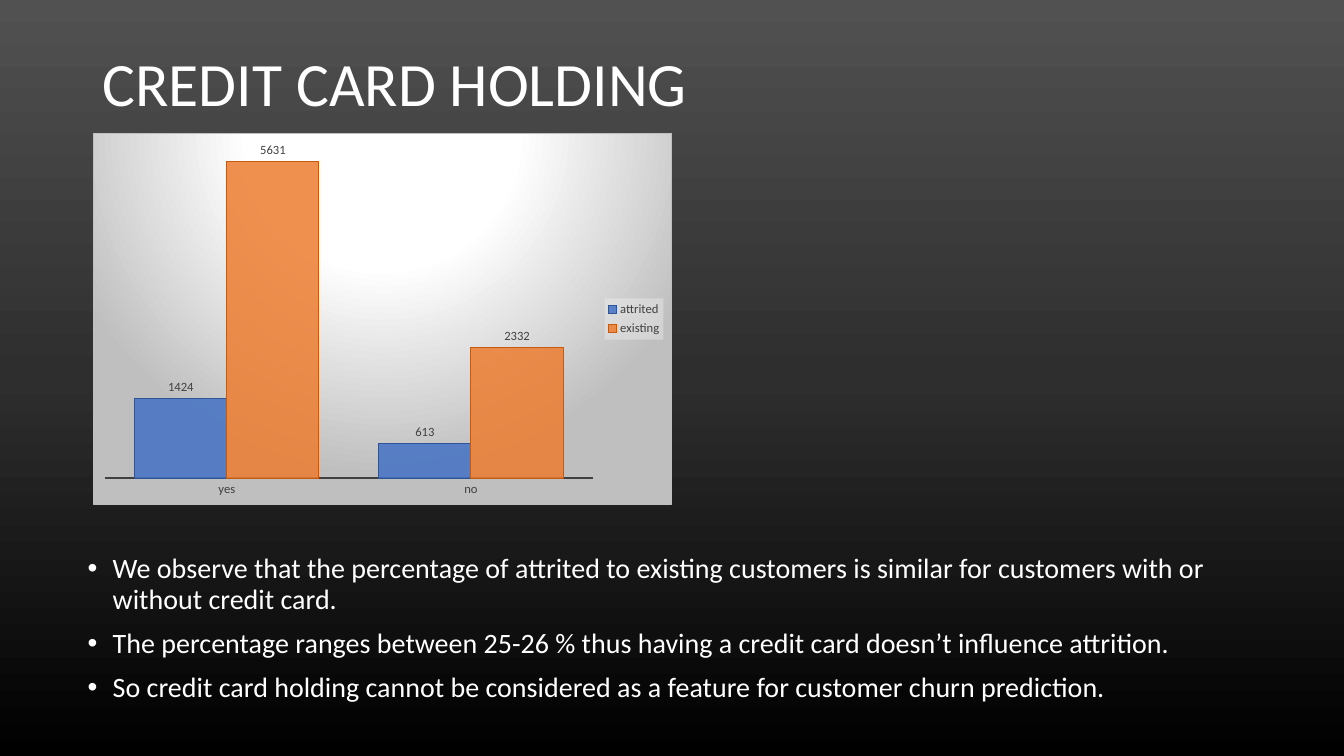
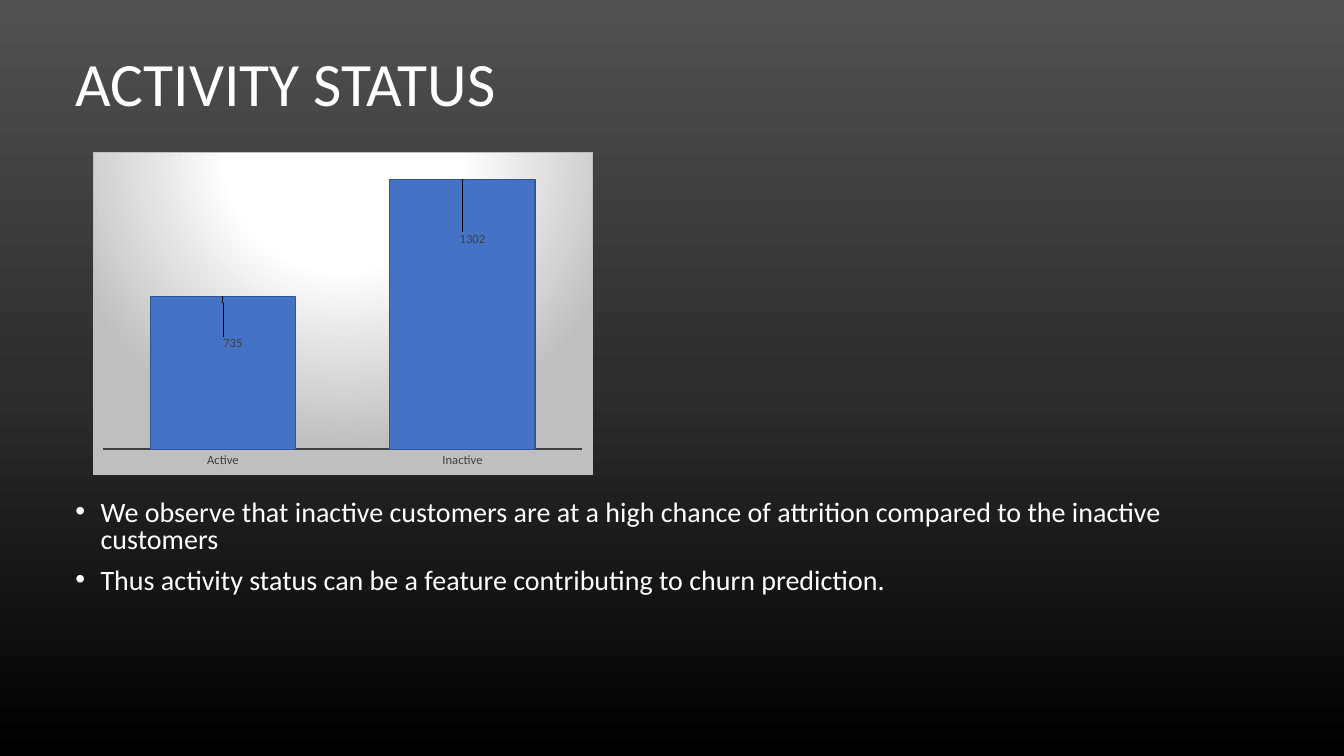
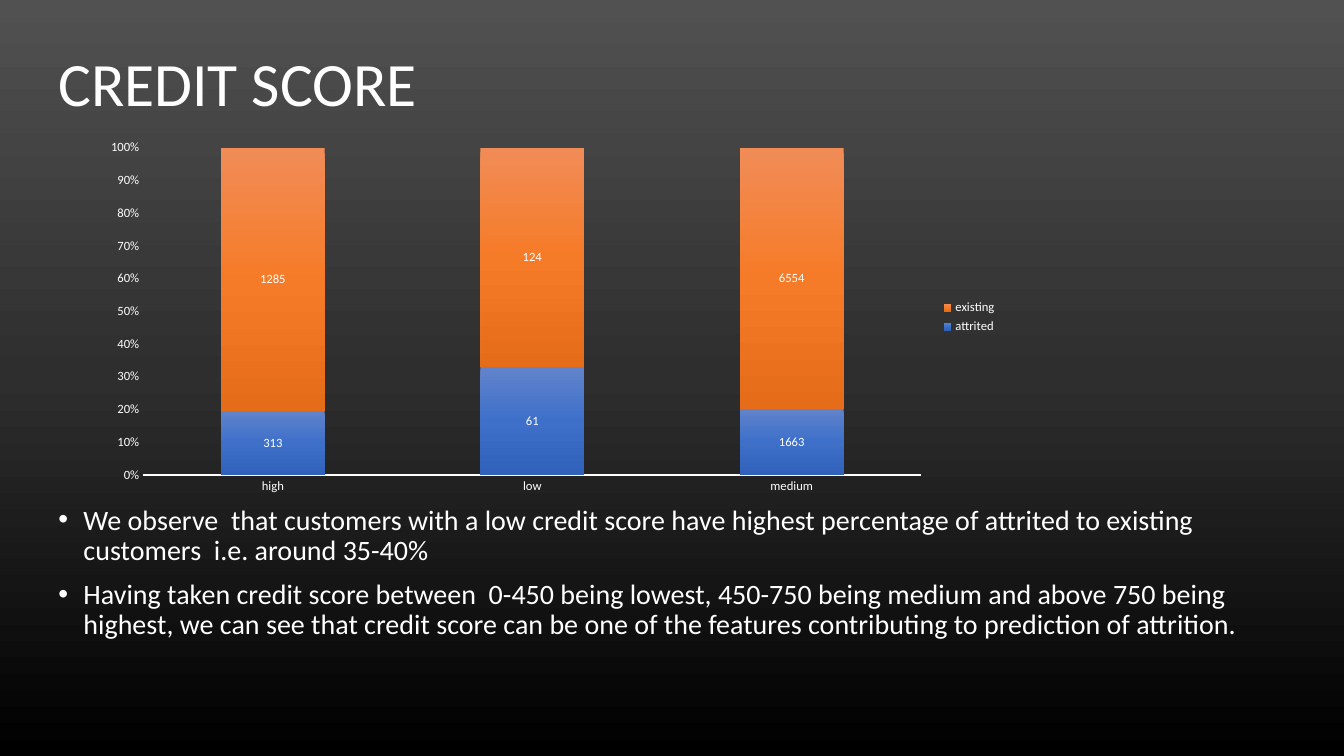
from lxml.etree import SubElement
from pptx import Presentation
from pptx.chart.data import CategoryChartData
from pptx.dml.color import RGBColor
from pptx.enum.chart import XL_CHART_TYPE as ChartType
from pptx.enum.chart import XL_LABEL_POSITION as LabelPosition
from pptx.enum.chart import XL_LEGEND_POSITION as LegendPosition
from pptx.enum.chart import XL_TICK_MARK as TickMark
from pptx.enum.text import MSO_ANCHOR as Anchor
from pptx.oxml import parse_xml
from pptx.oxml.ns import nsdecls, qn
from pptx.util import Pt

FONT = "Calibri"
WHITE = RGBColor(0xFF, 0xFF, 0xFF)
CHARCOAL = RGBColor(0x40, 0x40, 0x40)
SILVER = RGBColor(0xBF, 0xBF, 0xBF)
MIST = RGBColor(0xF2, 0xF2, 0xF2)
BLUE = RGBColor(0x44, 0x72, 0xC4)
DARK_BLUE = RGBColor(0x2F, 0x55, 0x97)
ORANGE = RGBColor(0xED, 0x7D, 0x31)
DARK_ORANGE = RGBColor(0xC5, 0x5A, 0x11)

BACKDROP = [(0, RGBColor(0x51, 0x51, 0x51)), (50, RGBColor(0x2E, 0x2E, 0x2E)),
            (100, RGBColor(0, 0, 0))]
SPOTLIGHT = [(0, WHITE), (39, WHITE), (100, SILVER)]
BLUE_FADE = [(0, RGBColor(0x61, 0x83, 0xCB)), (50, RGBColor(0x3E, 0x70, 0xCA)),
             (100, RGBColor(0x30, 0x62, 0xBB))]
ORANGE_FADE = [(0, RGBColor(0xF1, 0x8C, 0x57)), (50, RGBColor(0xF6, 0x7B, 0x28)),
               (100, RGBColor(0xE5, 0x6C, 0x19))]

DOWNWARD = '<a:lin ang="5400000" scaled="0"/>'
FROM_TOP = ('<a:path path="circle"><a:fillToRect l="50000" t="-80000" '
            'r="50000" b="180000"/></a:path>')
TITLE_TOP, TITLE_HEIGHT = 28.8, 66
CHART_LEFT = 66.24


def solid_fill(color, opacity=100):
    return parse_xml(
        f'<a:solidFill {nsdecls("a")}><a:srgbClr val="{color}">'
        f'<a:alpha val="{opacity * 1000}"/></a:srgbClr></a:solidFill>')


def gradient_fill(stops, direction=DOWNWARD):
    stop_list = "".join(
        f'<a:gs pos="{position * 1000}"><a:srgbClr val="{color}"/></a:gs>'
        for position, color in stops)
    return parse_xml(
        f'<a:gradFill {nsdecls("a")} rotWithShape="1"><a:gsLst>{stop_list}</a:gsLst>'
        f'{direction}</a:gradFill>')


def shape_properties(*parts):
    properties = parse_xml(f'<c:spPr {nsdecls("c", "a")}/>')
    properties.extend(parts)
    return properties


def set_values(target, values):
    for name, value in values.items():
        setattr(target, name, value)


def set_font(font, size, color):
    set_values(font, {"name": FONT, "size": Pt(size)})
    font.color.rgb = color


def set_line(line, color, width):
    line.color.rgb = color
    line.width = Pt(width)


def set_backdrop(presentation):
    master = presentation.slide_master
    master.background.fill.solid()
    properties = master._element.find(".//" + qn("p:bgPr"))
    properties.replace(properties[0], gradient_fill(BACKDROP))


def add_text(slide, box, lines, size, spacing, space_before=0, anchor=Anchor.TOP):
    frame = slide.shapes.add_textbox(*map(Pt, box)).text_frame
    set_values(frame, {"word_wrap": True, "vertical_anchor": anchor})
    for index, line in enumerate(lines):
        paragraph = frame.add_paragraph() if index else frame.paragraphs[0]
        set_values(paragraph, {"text": line, "line_spacing": spacing,
                               "space_before": Pt(space_before)})
        set_font(paragraph.runs[0].font, size, WHITE)
    return frame


def add_title(slide, left, width, text):
    add_text(slide, (left, TITLE_TOP, width, TITLE_HEIGHT), [text], 44, 0.9,
             anchor=Anchor.MIDDLE)


def add_bullets(slide, box, lines, spacing=0.9):
    frame = add_text(slide, box, lines, 20, spacing, space_before=10)
    for paragraph in frame.paragraphs:
        properties = paragraph._p.get_or_add_pPr()
        properties.set("marL", str(Pt(18)))
        properties.set("indent", str(Pt(-18)))
        SubElement(properties, qn("a:buFont")).set("typeface", "Arial")
        SubElement(properties, qn("a:buChar")).set("char", "•")


def add_column_chart(slide, box, kind, categories, series, gap, text_color,
                     axis_width, label_position):
    data = CategoryChartData()
    data.categories = categories
    for name, values in series:
        data.add_series(name, values)
    chart = slide.shapes.add_chart(kind, *map(Pt, box), data).chart
    set_values(chart, {"has_title": False, "has_legend": False})
    set_font(chart.font, 10, WHITE)
    plot = chart.plots[0]
    set_values(plot, {"gap_width": gap, "vary_by_categories": False,
                      "has_data_labels": True})
    set_values(plot.data_labels, {"show_value": True, "position": label_position})
    set_font(plot.data_labels.font, 9, text_color)
    for axis in (chart.category_axis, chart.value_axis):
        set_values(axis, {"major_tick_mark": TickMark.NONE,
                          "minor_tick_mark": TickMark.NONE,
                          "has_major_gridlines": False})
        set_font(axis.tick_labels.font, 9, text_color)
    set_line(chart.category_axis.format.line, text_color, axis_width)
    return chart


def add_spotlight_chart(slide, box, categories, series):
    chart = add_column_chart(slide, box, ChartType.COLUMN_CLUSTERED, categories, series,
                             65, CHARCOAL, 1.5, LabelPosition.OUTSIDE_END)
    chart.value_axis.visible = False
    border = parse_xml(f'<a:ln {nsdecls("a")} w="{Pt(0.75)}"/>')
    border.append(solid_fill(SILVER))
    chart._chartSpace.find(qn("c:chart")).addnext(
        shape_properties(gradient_fill(SPOTLIGHT, FROM_TOP), border))
    return chart


def fill_series(series, fill):
    series._element.get_or_add_spPr().insert(0, fill)


def add_legend(chart, color):
    chart.has_legend = True
    set_values(chart.legend, {"position": LegendPosition.RIGHT,
                              "include_in_layout": False})
    set_font(chart.legend.font, 9, color)


def move_label(point, right, down):
    label = point.data_label
    label.position = LabelPosition.OUTSIDE_END
    set_font(label.font, 9, CHARCOAL)
    layout = parse_xml(
        f'<c:layout {nsdecls("c")}><c:manualLayout><c:x val="{right}"/>'
        f'<c:y val="{down}"/></c:manualLayout></c:layout>')
    label._dLbl.find(qn("c:idx")).addnext(layout)


def build_card_slide(slide):
    add_title(slide, 66.24, 807.84, "CREDIT CARD HOLDING")
    add_bullets(slide, (55.44, 392.7, 838.8, 128), [
        "We observe that the percentage of attrited to existing customers is similar "
        "for customers with or without credit card.",
        "The percentage ranges between 25-26 % thus having a credit card doesn’t "
        "influence attrition.",
        "So credit card holding cannot be considered as a feature for customer churn "
        "prediction."])
    chart = add_spotlight_chart(
        slide, (CHART_LEFT, 95.04, 414, 265.68), ["yes", "no"],
        [("attrited", (1424, 613)), ("existing", (5631, 2332))])
    colors = [(BLUE, DARK_BLUE), (ORANGE, DARK_ORANGE)]
    for series, (color, outline) in zip(chart.plots[0].series, colors):
        fill_series(series, solid_fill(color, 85))
        set_line(series.format.line, outline, 0.75)
    add_legend(chart, CHARCOAL)
    chart.legend._element.find(qn("c:overlay")).addnext(
        shape_properties(solid_fill(MIST, 39)))


def build_activity_slide(slide):
    add_title(slide, 46.8, 796.32, "ACTIVITY STATUS")
    add_bullets(slide, (46.8, 354.24, 847.44, 77.04), [
        "We observe that inactive customers are at a high chance of attrition compared "
        "to the inactive customers",
        "Thus activity status can be a feature contributing to churn prediction."],
        spacing=0.8)
    chart = add_spotlight_chart(
        slide, (CHART_LEFT, 108.72, 357.12, 230.4), ["Active", "Inactive"],
        [("Series 1", (735, 1302))])
    series = chart.plots[0].series[0]
    fill_series(series, solid_fill(BLUE))
    set_line(series.format.line, DARK_BLUE, 0.75)
    for index, offset in enumerate([(0.02, 0.18), (0.02, 0.22)]):
        move_label(series.points[index], *offset)


def build_score_slide(slide):
    add_title(slide, 34.56, 859.68, "CREDIT SCORE")
    add_bullets(slide, (34.56, 357.84, 859.68, 153.36), [
        "We observe  that customers with a low credit score have highest percentage of "
        "attrited to existing customers  i.e. around 35-40%",
        "Having taken credit score between  0-450 being lowest, 450-750 being medium "
        "and above 750 being highest, we can see that credit score can be one of the "
        "features contributing to prediction of attrition."])
    chart = add_column_chart(
        slide, (CHART_LEFT, 95.04, 653.04, 262.8), ChartType.COLUMN_STACKED_100,
        ["high", "low", "medium"],
        [("attrited", (313, 61, 1663)), ("existing", (1285, 124, 6554))],
        150, WHITE, 1, LabelPosition.CENTER)
    chart.plots[0].overlap = 100
    chart.value_axis.format.line.fill.background()
    set_values(chart.value_axis.tick_labels, {"number_format": "0%",
                                              "number_format_is_linked": False})
    for series, stops in zip(chart.plots[0].series, [BLUE_FADE, ORANGE_FADE]):
        fill_series(series, gradient_fill(stops))
    add_legend(chart, WHITE)


def main():
    presentation = Presentation()
    set_values(presentation, {"slide_width": Pt(960), "slide_height": Pt(540)})
    set_backdrop(presentation)
    blank_layout = presentation.slide_layouts[6]
    for build in (build_card_slide, build_activity_slide, build_score_slide):
        build(presentation.slides.add_slide(blank_layout))
    presentation.save("out.pptx")


main()
